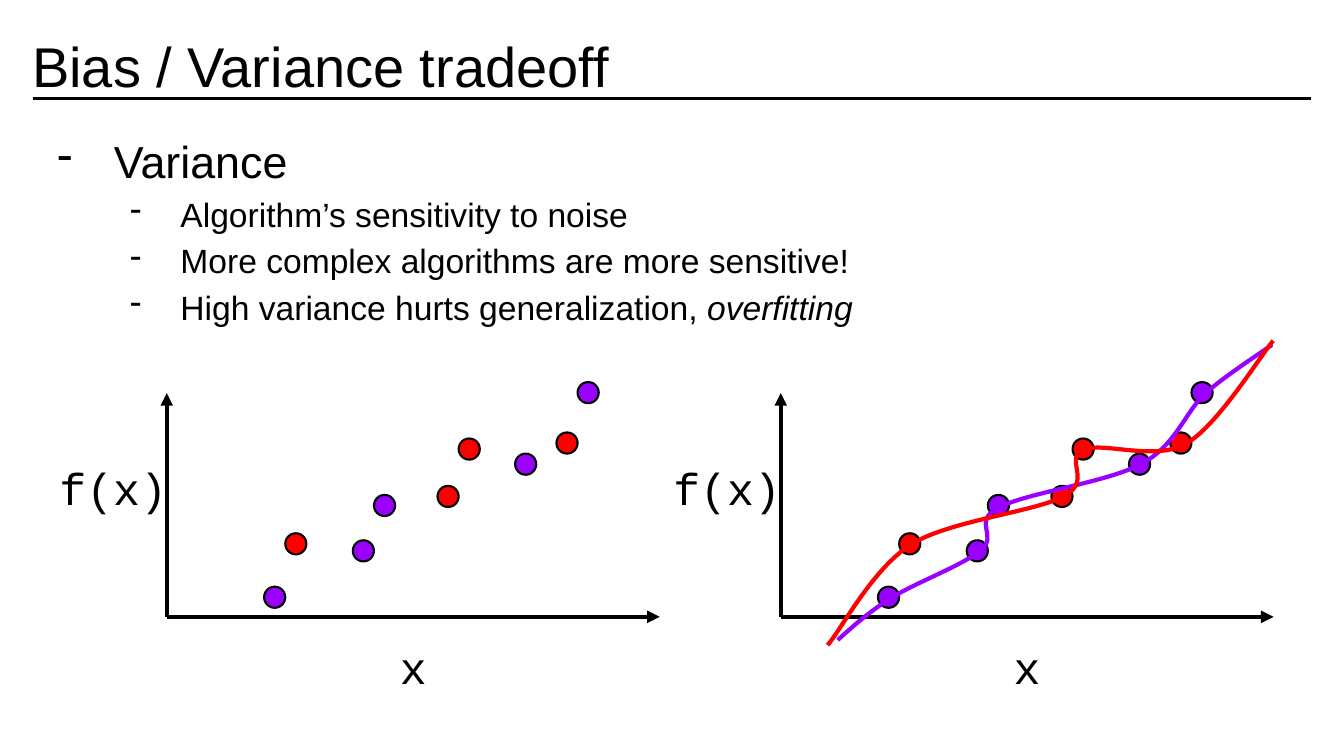
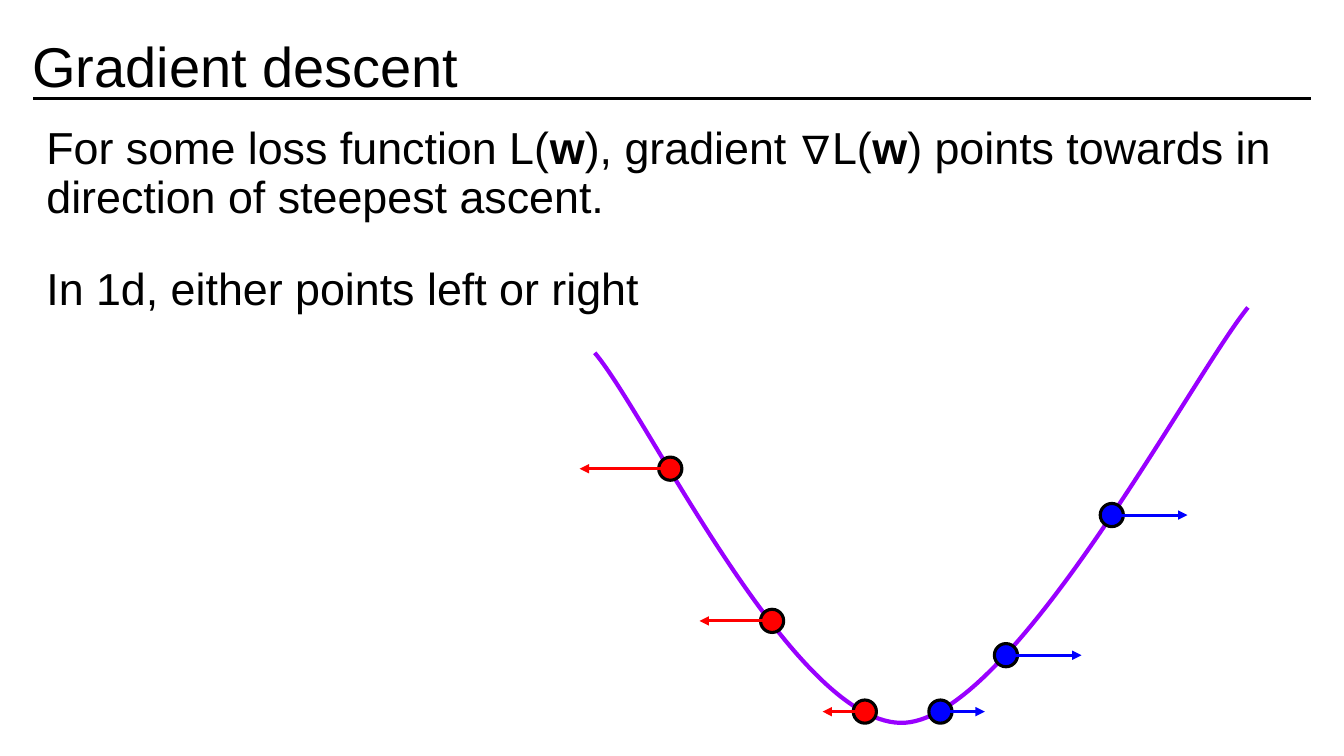
from dataclasses import dataclass
from typing import NamedTuple

from lxml import etree
from pptx import Presentation
from pptx.dml.color import RGBColor
from pptx.enum.shapes import MSO_CONNECTOR, MSO_SHAPE
from pptx.enum.text import MSO_ANCHOR, MSO_AUTO_SIZE, PP_ALIGN
from pptx.oxml.ns import qn
from pptx.util import Emu, Inches, Pt

STRAIGHT = MSO_CONNECTOR.STRAIGHT
OVAL = MSO_SHAPE.OVAL
LEFT, CENTER = PP_ALIGN.LEFT, PP_ALIGN.CENTER
TOP, BOTTOM = MSO_ANCHOR.TOP, MSO_ANCHOR.BOTTOM
TITLE_ONLY = 5

# All lengths are columns and rows of a grid with square cells
CELL = Inches(0.1)
COLUMNS, ROWS = 133.33, 75


@dataclass(frozen=True)
class Theme:
    ink: str = "000000"
    red: str = "FF0000"
    purple: str = "9900FF"
    blue: str = "0000FF"
    sans: str = "Arial"
    mono: str = "Courier New"
    title_size: float = 40
    body_size: float = 32
    detail_size: float = 24
    thin: float = 1.5
    medium: float = 2.25
    thick: float = 3
    inset: float = 1.3


THEME = Theme()


class Point(NamedTuple):
    column: float
    row: float


class Area(NamedTuple):
    left: float
    top: float
    width: float
    height: float


class Span(NamedTuple):
    text: str
    bold: bool = False
    italic: bool = False


class Dot(NamedTuple):
    center: Point
    color: str


class Step(NamedTuple):
    """A point on the loss curve and the column its gradient arrow reaches."""
    dot: Dot
    tip: float


TITLE = Area(1.9, 2.8, 129.6, 8.4)
RULE = Point(3.3, 9.8), Point(130.1, 9.8)
BODY = Area(3.3, 11.2, 126.8, 62.1)


def cells(count: float) -> Emu:
    return Emu(round(count * CELL))


def rgb(color: str) -> RGBColor:
    return RGBColor.from_string(color)


# Text
def prepare_frame(frame, anchor=TOP) -> None:
    frame.word_wrap = True
    frame.auto_size = MSO_AUTO_SIZE.NONE
    frame.vertical_anchor = anchor
    frame.margin_left = frame.margin_right = cells(THEME.inset)
    frame.margin_top = frame.margin_bottom = cells(THEME.inset)


def write(para, *spans: Span, size: float = THEME.body_size, font: str = THEME.sans,
          align=LEFT, spacing: float = 1.0, before: float = 0, bullet: str = "",
          level: int = 0, indent: float = 0, hanging: float = 0) -> None:
    para.alignment, para.level = align, level
    para.line_spacing, para.space_before = spacing, Pt(before)
    if bullet:
        properties = para._p.get_or_add_pPr()
        properties.set("marL", str(cells(indent)))
        properties.set("indent", str(-cells(hanging)))
        bullet_color = etree.SubElement(properties, qn("a:buClr"))
        etree.SubElement(bullet_color, qn("a:srgbClr"), val=THEME.ink)
        etree.SubElement(properties, qn("a:buChar"), char=bullet)
    for span in spans:
        run = para.add_run()
        run.text = span.text
        run.font.name, run.font.size = font, Pt(size)
        run.font.bold, run.font.italic = span.bold, span.italic
        run.font.color.rgb = rgb(THEME.ink)


def add_box(shapes, area: Area):
    box = shapes.add_textbox(*map(cells, area))
    prepare_frame(box.text_frame)
    return box.text_frame


# Lines, dots and curves
def add_line(shapes, start: Point, end: Point, color: str, width: float,
             arrow: bool = False) -> None:
    line = shapes.add_connector(STRAIGHT, *map(cells, (*start, *end)))
    line.line.color.rgb, line.line.width = rgb(color), Pt(width)
    if arrow:
        etree.SubElement(line.line._get_or_add_ln(), qn("a:tailEnd"), type="triangle")
    etree.SubElement(line._element.spPr, qn("a:effectLst"))


def add_dot(shapes, dot: Dot, size: float, outline: float) -> None:
    column, row = dot.center
    area = Area(column - size / 2, row - size / 2, size, size)
    oval = shapes.add_shape(OVAL, *map(cells, area))
    oval.shadow.inherit = False
    oval.fill.solid()
    oval.fill.fore_color.rgb = rgb(dot.color)
    oval.line.color.rgb, oval.line.width = rgb(THEME.ink), Pt(outline)


def add_curve(shapes, points: list[Point], color: str) -> None:
    """Draw a start point followed by triples of cubic control points."""
    start, *rest = [tuple(map(cells, point)) for point in points]
    builder = shapes.build_freeform(*start)
    builder.add_line_segments(rest, close=False)
    curve = builder.convert_to_shape()
    curve.shadow.inherit = False
    curve.fill.background()
    curve.line.color.rgb, curve.line.width = rgb(color), Pt(THEME.thick)
    # Turn each three straight segments into one cubic segment
    outline = next(curve._element.iter(qn("a:path")))
    segments = outline.findall(qn("a:lnTo"))
    for first in range(0, len(segments), 3):
        cubic = etree.SubElement(outline, qn("a:cubicBezTo"))
        for segment in segments[first:first + 3]:
            cubic.append(segment[0])
            outline.remove(segment)


def add_page(deck, title: str):
    page = deck.slides.add_slide(deck.slide_layouts[TITLE_ONLY])
    add_line(page.shapes, *RULE, THEME.ink, THEME.medium)
    holder = page.shapes.title
    holder.left, holder.top, holder.width, holder.height = map(cells, TITLE)
    prepare_frame(holder.text_frame, BOTTOM)
    write(holder.text_frame.paragraphs[0], Span(title), size=THEME.title_size, spacing=0.9)
    return page


# Bias and variance: dots are columns right of and rows above the plot's origin
SAMPLES = [
    Dot(Point(10.7, 1.95), THEME.purple),
    Dot(Point(12.8, 7.25), THEME.red),
    Dot(Point(19.5, 6.55), THEME.purple),
    Dot(Point(21.6, 11.05), THEME.purple),
    Dot(Point(27.9, 11.95), THEME.red),
    Dot(Point(30, 16.65), THEME.red),
    Dot(Point(35.6, 15.15), THEME.purple),
    Dot(Point(39.7, 17.25), THEME.red),
    Dot(Point(41.8, 22.25), THEME.purple),
]
LEFT_ORIGIN, RIGHT_ORIGIN = Point(16.55, 61.2), Point(77.45, 61.2)
AXIS_WIDTH, AXIS_HEIGHT = 48.9, 22.2

PURPLE_FIT = [Point(*pair) for pair in (
    (83.1, 63.5), (83.9, 62.8), (85.9, 60.9), (88.3, 59.4),
    (90.6, 57.9), (95.5, 56.1), (97.3, 54.6), (99.1, 53.1), (96.4, 51.8), (99, 50.4),
    (101.7, 48.9), (109.8, 47.9), (113.3, 46), (116.7, 44.1), (117.5, 41), (119.6, 39),
    (121.8, 37.1), (125.1, 35), (126.2, 34.2))]
RED_FIT = [Point(*pair) for pair in (
    (82.1, 64), (83.5, 62.4), (86.5, 56.5), (90.4, 54),
    (94.3, 51.6), (102.7, 50.8), (105.6, 49.2), (108.4, 47.7), (105.5, 45.5), (107.5, 44.6),
    (109.5, 43.8), (114.6, 45.8), (117.7, 44), (120.8, 42.2), (124.9, 35.5), (126.3, 33.8))]


def add_plot(page, origin: Point) -> None:
    shapes = page.shapes.add_group_shape().shapes
    column, row = origin
    y_label = add_box(shapes, Area(column - 11.95, row - 16.8, 21.6, 7.6))
    write(y_label.paragraphs[0], Span("f(x)"), font=THEME.mono)
    for (right, up), color in SAMPLES:
        add_dot(shapes, Dot(Point(column + right, row - up), color), 2.1, THEME.thin)
    for end in (Point(column, row - AXIS_HEIGHT), Point(column + AXIS_WIDTH, row)):
        add_line(shapes, origin, end, THEME.ink, THEME.thick, arrow=True)
    x_label = add_box(shapes, Area(column + 8.55, row + 1, 31.8, 7.6))
    write(x_label.paragraphs[0], Span("x"), font=THEME.mono, align=CENTER)


def build_variance(deck) -> None:
    page = add_page(deck, "Bias / Variance tradeoff")
    body = add_box(page.shapes, BODY)
    write(body.paragraphs[0], Span("Variance"), spacing=1.15,
          bullet="-", indent=6.7, hanging=5.6)
    for spans in (
        [Span("Algorithm’s sensitivity to noise")],
        [Span("More complex algorithms are more sensitive!")],
        [Span("High variance hurts generalization, "), Span("overfitting", italic=True)],
    ):
        write(body.add_paragraph(), *spans, size=THEME.detail_size, spacing=1.15,
              bullet="-", level=1, indent=13.3, hanging=5)
    add_plot(page, RIGHT_ORIGIN)
    add_curve(page.shapes, PURPLE_FIT, THEME.purple)
    add_curve(page.shapes, RED_FIT, THEME.red)
    add_plot(page, LEFT_ORIGIN)


# Gradient descent
LOSS = [Point(*pair) for pair in (
    (123.8, 30.5), (118.2, 37.4), (100.6, 70.9), (89.8, 71.7),
    (79, 72.4), (64.2, 41.1), (59, 35))]
STEPS = [
    Step(Dot(Point(66.5, 46.5), THEME.red), 57.5),
    Step(Dot(Point(76.6, 61.6), THEME.red), 69.4),
    Step(Dot(Point(99.8, 65), THEME.blue), 107.3),
    Step(Dot(Point(110.3, 51.1), THEME.blue), 117.8),
    Step(Dot(Point(85.8, 70.6), THEME.red), 81.6),
    Step(Dot(Point(93.3, 70.6), THEME.blue), 97.7),
]


def build_gradient(deck) -> None:
    page = add_page(deck, "Gradient descent")
    body = add_box(page.shapes, BODY)
    weights = Span("w", bold=True)
    write(body.paragraphs[0], Span("For some loss function L("), weights,
          Span("), gradient ∇L("), weights,
          Span(") points towards in direction of steepest ascent."), spacing=0.9)
    write(body.add_paragraph(), Span("In 1d, either points left or right"),
          spacing=1.15, before=21.3)
    add_curve(page.shapes, LOSS, THEME.purple)
    for dot, tip in STEPS:
        add_dot(page.shapes, dot, 2.3, THEME.medium)
        add_line(page.shapes, dot.center, Point(tip, dot.center.row),
                 dot.color, THEME.medium, arrow=True)


def main() -> None:
    deck = Presentation()
    deck.slide_width, deck.slide_height = cells(COLUMNS), cells(ROWS)
    build_variance(deck)
    build_gradient(deck)
    deck.save("out.pptx")


if __name__ == "__main__":
    main()
